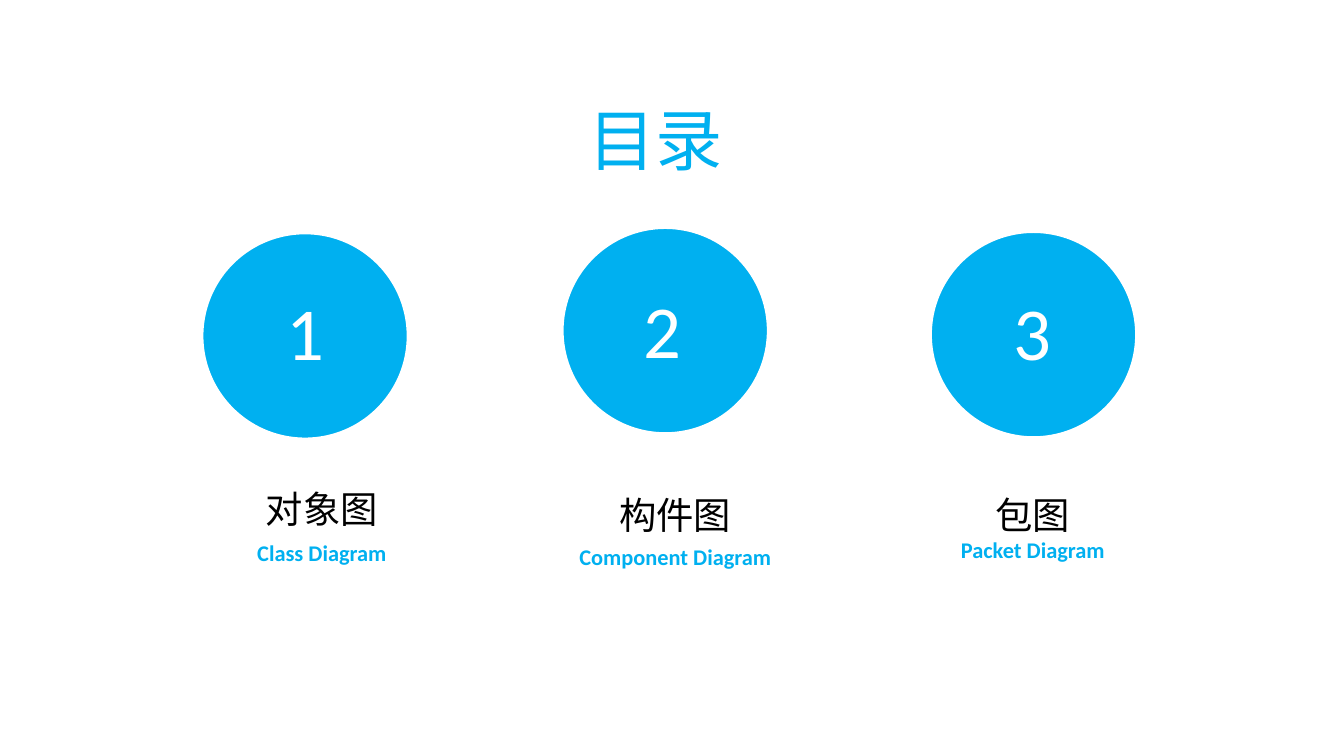
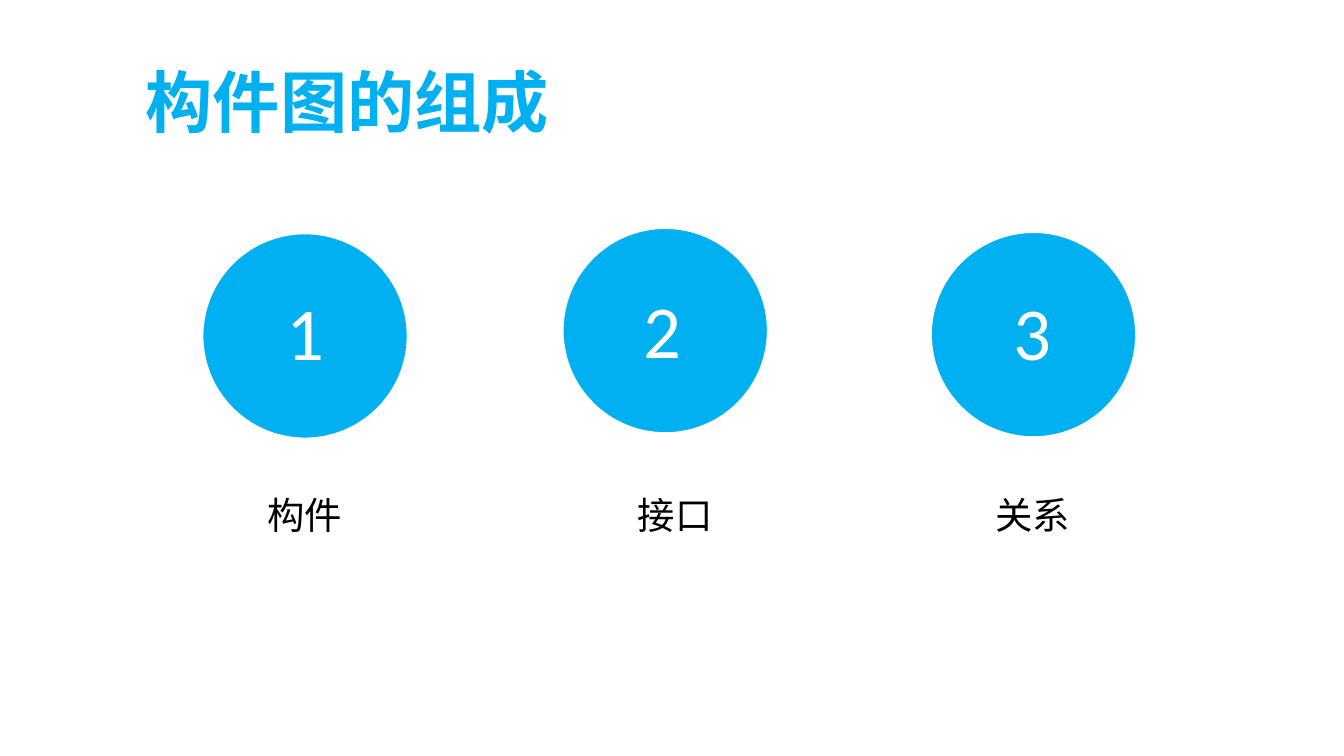
from typing import NamedTuple

from lxml import etree
from pptx import Presentation
from pptx.dml.color import RGBColor
from pptx.enum.shapes import MSO_SHAPE
from pptx.enum.text import MSO_ANCHOR, MSO_AUTO_SIZE, PP_ALIGN
from pptx.oxml.ns import qn
from pptx.slide import Slide
from pptx.util import Inches, Pt

OVAL = MSO_SHAPE.OVAL
BOTTOM = MSO_ANCHOR.BOTTOM
CENTER, LEFT = PP_ALIGN.CENTER, PP_ALIGN.LEFT
GROW, FIXED = MSO_AUTO_SIZE.SHAPE_TO_FIT_TEXT, MSO_AUTO_SIZE.NONE

BLUE = RGBColor(0x00, 0xB0, 0xF0)
WHITE = RGBColor(0xFF, 0xFF, 0xFF)
BLACK = RGBColor(0x00, 0x00, 0x00)
CJK, LATIN = "Noto Sans CJK KR", "Calibri"

SLIDE_WIDTH = 10
SLIDE_HEIGHT = SLIDE_WIDTH * 9 / 16
CIRCLE_SIZE = 1.54
LABEL_WIDTH = 1.79


class Box(NamedTuple):
    left: float
    top: float
    width: float
    height: float


class Style(NamedTuple):
    size: int
    font: str
    color: RGBColor
    bold: bool = False


class Circle(NamedTuple):
    left: float
    top: float
    number: str
    number_left: float
    number_top: float


class Label(NamedTuple):
    text: str
    left: float
    top: float
    caption: str = ""
    caption_top: float = 0


class Page(NamedTuple):
    title: str
    title_box: Box
    title_bold: bool
    labels: list[Label]


LABEL_STYLE = Style(20, CJK, BLACK)
CAPTION_STYLE = Style(12, LATIN, BLUE, True)
NUMBER_STYLE = Style(40, LATIN, WHITE)

CIRCLES = [
    Circle(1.5, 1.73, "1", 2.03, 2.08),
    Circle(4.18, 1.69, "2", 4.69, 2.06),
    Circle(6.92, 1.72, "3", 7.44, 2.08),
]

PAGES = [
    Page("目录", Box(1.17, 0.96, 7.42, 0.42), False, [
        Label("对象图", 1.5, 3.57, "Class Diagram", 3.96),
        Label("构件图", 4.13, 3.61, "Component Diagram", 3.99),
        Label("包图", 6.79, 3.61, "Packet Diagram", 3.94),
    ]),
    Page("构件图的组成", Box(-1.25, 0.68, 7.67, 0.42), True, [
        Label("构件", 1.37, 3.61),
        Label("接口", 4.13, 3.61),
        Label("关系", 6.79, 3.61),
    ]),
]


def add_text(s: Slide, text: str, box: Box, style: Style,
             align: PP_ALIGN = CENTER, wrap: bool = True):
    """Add a one-line text box and return its text frame."""
    tf = s.shapes.add_textbox(*(Inches(v) for v in box)).text_frame
    tf.text = text
    tf.word_wrap = wrap
    tf.auto_size = GROW
    p = tf.paragraphs[0]
    p.alignment = align
    r = p.runs[0]
    r.font.size = Pt(style.size)
    r.font.bold = style.bold
    r.font.color.rgb = style.color
    r.font.name = style.font
    etree.SubElement(r.font._element, qn("a:ea"), typeface=style.font)
    return tf


def add_title(s: Slide, page: Page) -> None:
    """Add the page title, sitting on the bottom edge of its box."""
    tf = add_text(s, page.title, page.title_box, Style(36, CJK, BLUE, page.title_bold))
    tf.auto_size = FIXED
    tf.vertical_anchor = BOTTOM


def add_circle(s: Slide, circle: Circle) -> None:
    """Add a blue disc with a white outline."""
    sp = s.shapes.add_shape(OVAL, Inches(circle.left), Inches(circle.top),
                            Inches(CIRCLE_SIZE), Inches(CIRCLE_SIZE))
    sp.shadow.inherit = False
    sp.fill.solid()
    sp.fill.fore_color.rgb = BLUE
    sp.line.color.rgb = WHITE
    sp.line.width = Pt(2)


def add_number(s: Slide, circle: Circle) -> None:
    """Add the number that sits on a disc."""
    box = Box(circle.number_left, circle.number_top, 0.49, 0.77)
    add_text(s, circle.number, box, NUMBER_STYLE, LEFT, wrap=False)


def add_label(s: Slide, label: Label) -> None:
    """Add the label under a disc, and its caption if it has one."""
    add_text(s, label.text, Box(label.left, label.top, LABEL_WIDTH, 0.44), LABEL_STYLE)
    if label.caption:
        box = Box(label.left, label.caption_top, LABEL_WIDTH, 0.3)
        add_text(s, label.caption, box, CAPTION_STYLE)


def add_page(prs: Presentation, page: Page) -> None:
    """Add a slide with a title and three numbered discs."""
    s = prs.slides.add_slide(prs.slide_layouts[6])
    add_title(s, page)
    for circle in CIRCLES:
        add_circle(s, circle)
    for label in page.labels:
        add_label(s, label)
    for circle in CIRCLES:
        add_number(s, circle)


def main() -> None:
    """Build the deck and save it."""
    prs = Presentation()
    prs.slide_width, prs.slide_height = Inches(SLIDE_WIDTH), Inches(SLIDE_HEIGHT)
    for page in PAGES:
        add_page(prs, page)
    prs.save("out.pptx")


if __name__ == "__main__":
    main()
